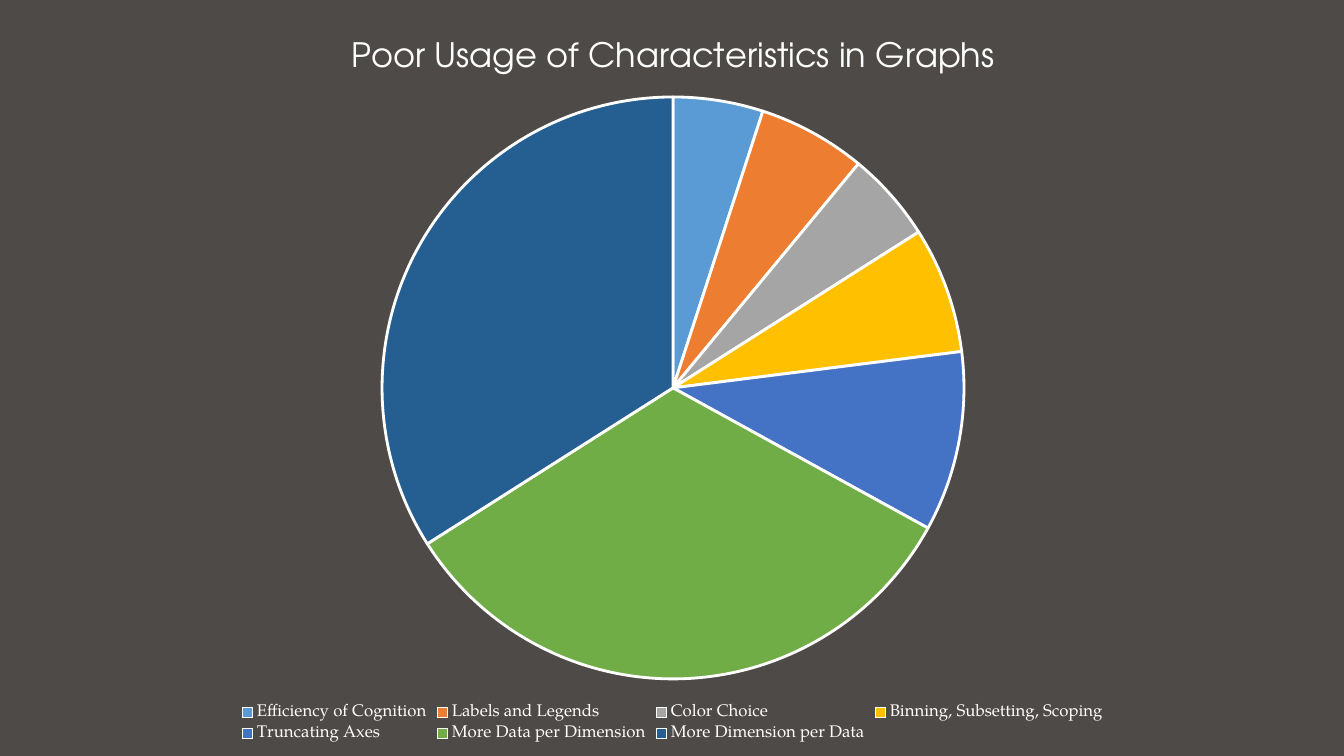
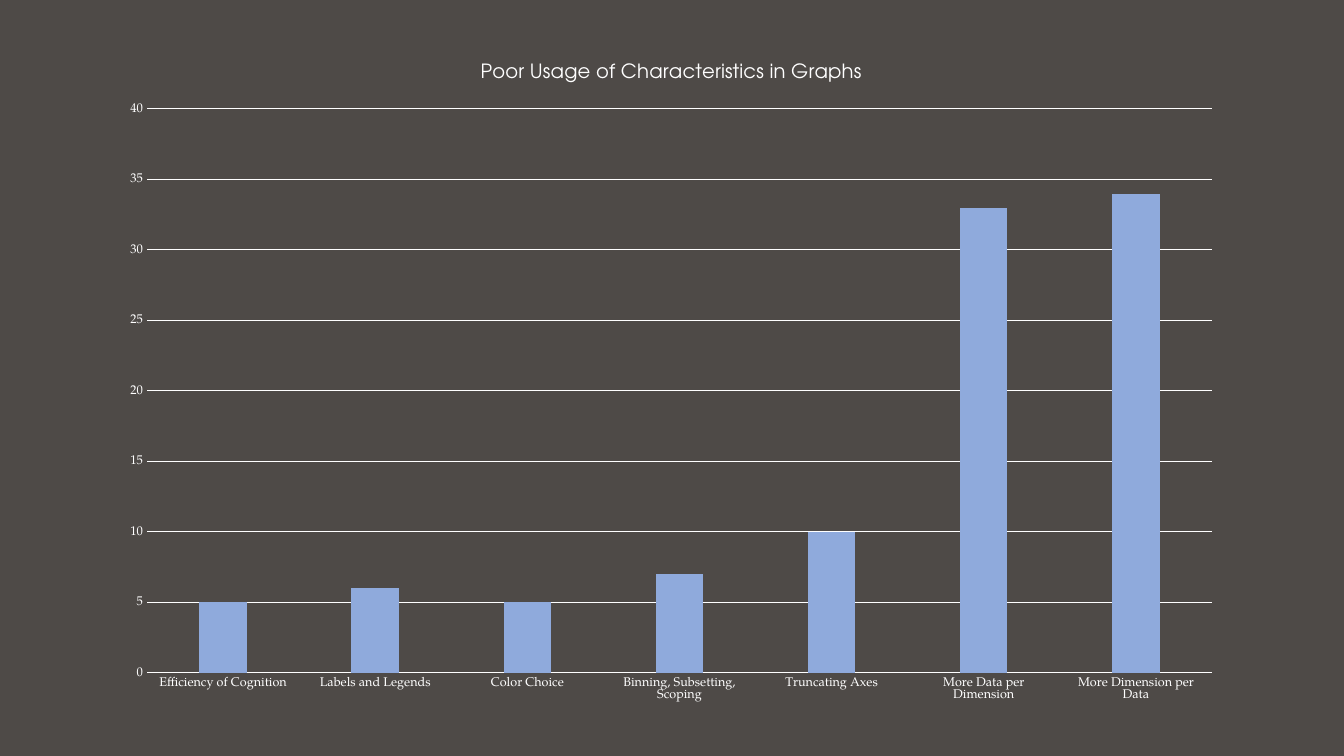
from dataclasses import dataclass

from lxml import etree
from pptx import Presentation
from pptx import util as u
from pptx.chart import data as chart_data
from pptx.dml.color import RGBColor
from pptx.enum import chart as ch
from pptx.oxml import ns

WIDTH, HEIGHT = 1344, 756
PX_PER_INCH = 100.8


@dataclass(frozen=True)
class Theme:
    background: str = "4E4A47"
    ink: str = "FFFFFF"
    bar: str = "8FAADC"
    slices: tuple = ("5B9BD5", "ED7D31", "A5A5A5", "FFC000",
                     "4472C4", "70AD47", "255E91")
    title_font: str = "TeX Gyre Adventor"
    body_font: str = "TeX Gyre Pagella"
    large_title: int = 24
    small_title: int = 14
    legend: int = 12
    body: int = 10
    axis: int = 9
    hairline: float = 0.75
    slice_line: int = 2


THEME = Theme()
TITLE = "Poor Usage of Characteristics in Graphs"
SHARES = {
    "Efficiency of Cognition": 5,
    "Labels and Legends": 6,
    "Color Choice": 5,
    "Binning, Subsetting, Scoping": 7,
    "Truncating Axes": 10,
    "More Data per Dimension": 33,
    "More Dimension per Data": 34,
}


def px(length):
    return u.Emu(round(length * u.Inches(1) / PX_PER_INCH))


def rgb(code):
    return RGBColor.from_string(code)


def style_font(font, size, name=THEME.body_font):
    font.name = name
    font.size = u.Pt(size)
    font.bold = False
    font.color.rgb = rgb(THEME.ink)


def style_line(line, width):
    line.color.rgb = rgb(THEME.ink)
    line.width = u.Pt(width)


def no_fill():
    """Return chart shape properties with neither fill nor outline."""
    props = etree.Element(ns.qn("c:spPr"))
    etree.SubElement(props, ns.qn("a:noFill"))
    outline = etree.SubElement(props, ns.qn("a:ln"))
    etree.SubElement(outline, ns.qn("a:noFill"))
    return props


def place_plot(chart, box, plot_box):
    """Fix the inner plot area; plot_box is relative to the chart's box."""
    area = chart.plots[0]._element.getparent()
    for old in area.findall(ns.qn("c:layout")):
        area.remove(old)
    layout = etree.Element(ns.qn("c:layout"))
    manual = etree.SubElement(layout, ns.qn("c:manualLayout"))
    left, top, width, height = plot_box
    settings = {
        "layoutTarget": "inner", "xMode": "edge", "yMode": "edge",
        "x": left / box[2], "y": top / box[3],
        "w": width / box[2], "h": height / box[3],
    }
    for tag, value in settings.items():
        text = value if isinstance(value, str) else f"{value:.4f}"
        etree.SubElement(manual, ns.qn(f"c:{tag}")).set("val", text)
    area.insert(0, layout)
    area.append(no_fill())


def add_share_chart(page, kind, box, plot_box, title_size):
    """Add a transparent, titled chart of the shares."""
    values = chart_data.CategoryChartData()
    values.categories = list(SHARES)
    values.add_series("Series 1", list(SHARES.values()))
    chart = page.shapes.add_chart(kind, *map(px, box), values).chart
    style_font(chart.font, THEME.body)
    chart._chartSpace.find(ns.qn("c:chart")).addnext(no_fill())
    chart.has_title = True
    chart.chart_title.include_in_layout = False
    para = chart.chart_title.text_frame.paragraphs[0]
    para.add_run().text = TITLE
    style_font(para.font, title_size, THEME.title_font)
    place_plot(chart, box, plot_box)
    return chart


def pie_slide(page, box):
    chart = add_share_chart(page, ch.XL_CHART_TYPE.PIE, box,
                            (303, 85, 582, 582), THEME.large_title)
    chart.has_legend = True
    chart.legend.position = ch.XL_LEGEND_POSITION.BOTTOM
    chart.legend.include_in_layout = False
    style_font(chart.legend.font, THEME.legend)
    plot = chart.plots[0]
    plot.vary_by_categories = True
    for index, color in enumerate(THEME.slices):
        look = plot.series[0].points[index].format
        look.fill.solid()
        look.fill.fore_color.rgb = rgb(color)
        style_line(look.line, THEME.slice_line)


def column_slide(page, box):
    chart = add_share_chart(page, ch.XL_CHART_TYPE.COLUMN_CLUSTERED, box,
                            (39, 70, 1065, 564), THEME.small_title)
    chart.has_legend = False
    plot = chart.plots[0]
    plot.vary_by_categories = False
    plot.gap_width = 221
    plot.overlap = 69
    columns = plot.series[0].format
    columns.fill.solid()
    columns.fill.fore_color.rgb = rgb(THEME.bar)
    columns.line.fill.background()

    categories, scale = chart.category_axis, chart.value_axis
    for axis in (categories, scale):
        axis.major_tick_mark = ch.XL_TICK_MARK.NONE
        axis.minor_tick_mark = ch.XL_TICK_MARK.NONE
        style_font(axis.tick_labels.font, THEME.axis)
    style_line(categories.format.line, THEME.hairline)
    scale.minimum_scale, scale.maximum_scale, scale.major_unit = 0, 40, 5
    scale.format.line.fill.background()
    scale.has_major_gridlines = True
    style_line(scale.major_gridlines.format.line, THEME.hairline)


def main():
    deck = Presentation()
    deck.slide_width, deck.slide_height = px(WIDTH), px(HEIGHT)
    backdrop = deck.slide_master.background.fill
    backdrop.solid()
    backdrop.fore_color.rgb = rgb(THEME.background)
    blank = deck.slide_layouts.get_by_name("Blank")
    pie_slide(deck.slides.add_slide(blank), (79, 12, 1188, 734))
    column_slide(deck.slides.add_slide(blank), (108, 39, 1127, 676))
    deck.save("out.pptx")


if __name__ == "__main__":
    main()
